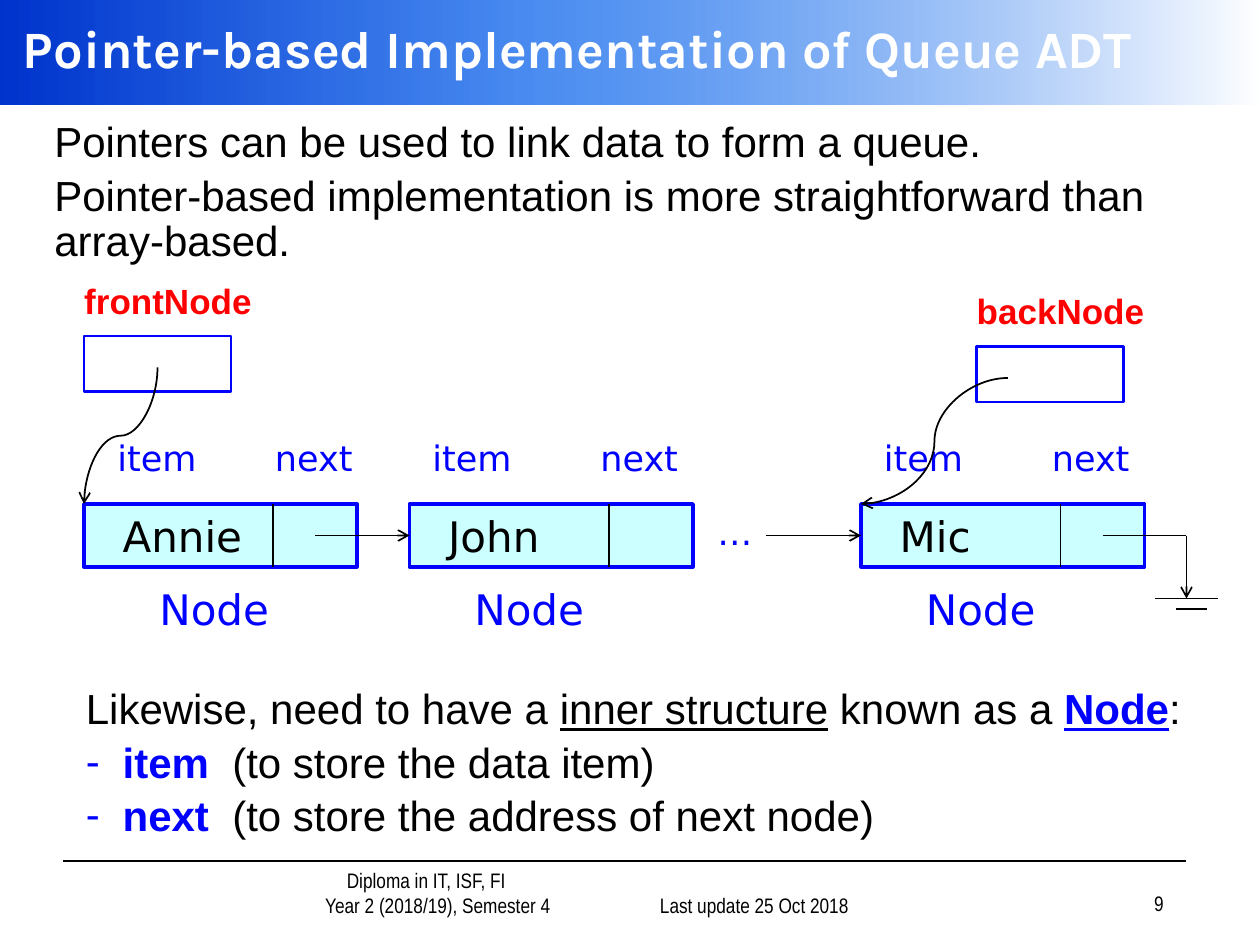
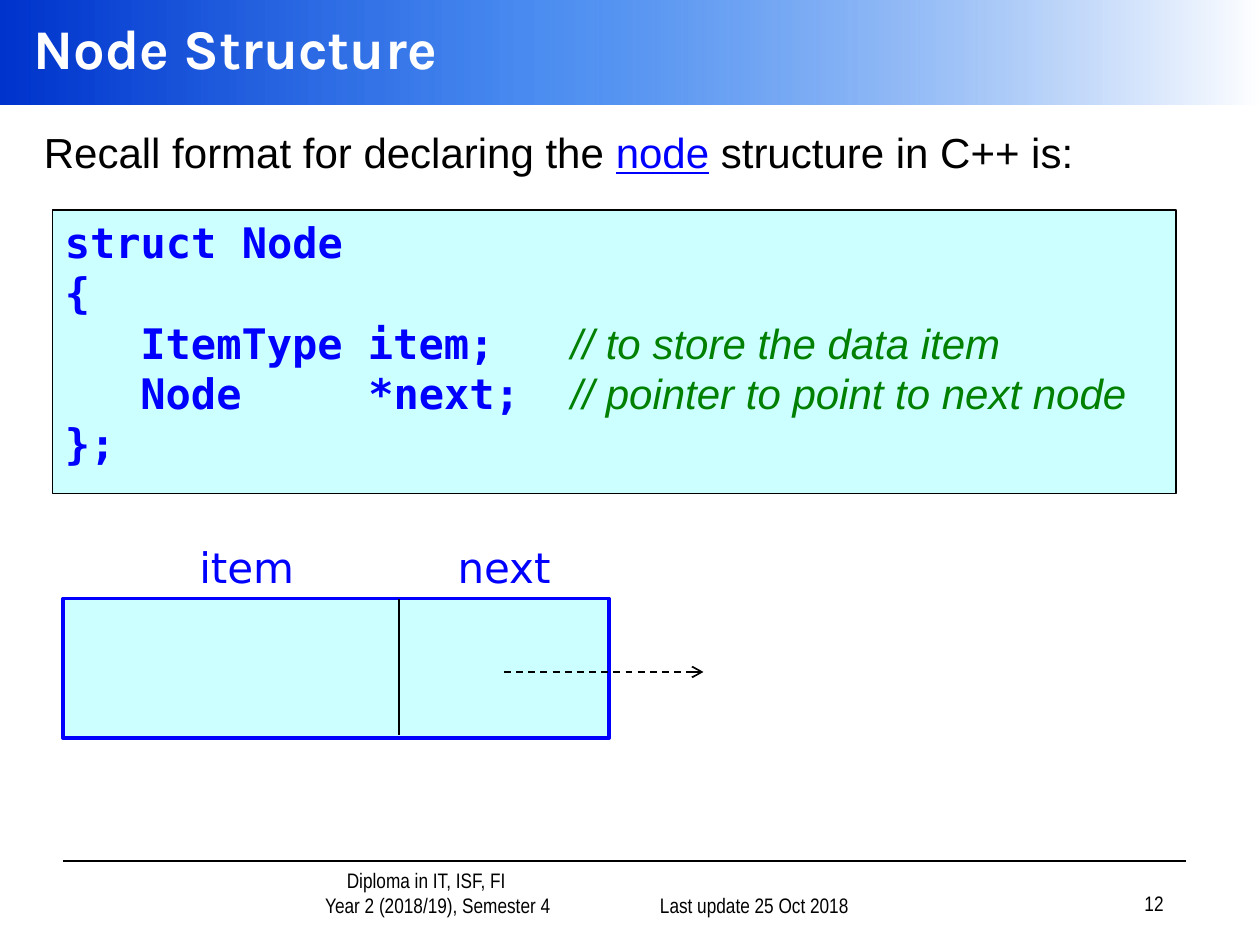
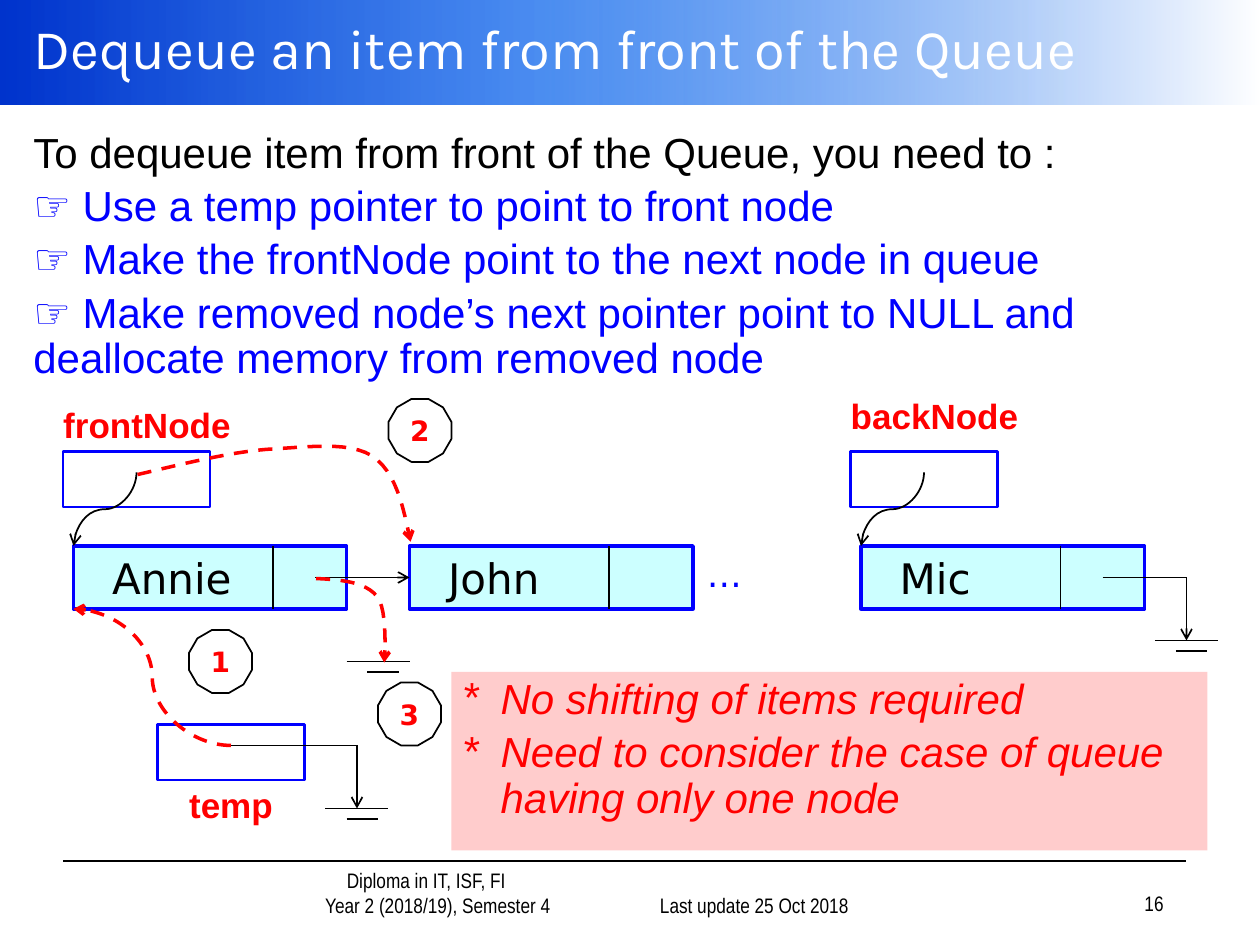
from lxml import etree
from pptx import Presentation
from pptx.dml.color import RGBColor
from pptx.enum.dml import MSO_LINE
from pptx.enum.shapes import MSO_CONNECTOR, MSO_SHAPE
from pptx.enum.text import MSO_ANCHOR, PP_ALIGN
from pptx.oxml.ns import qn
from pptx.util import Pt

PX = 7620
COLORS = {
    "black": "000000", "white": "FFFFFF", "blue": "0000FF", "red": "FF0000",
    "green": "008000", "cyan": "CCFFFF", "pink": "FFCCCC",
    "band_start": "0033CC", "band_middle": "005EEB",
}
BAND_STOPS = [(0, "band_start", 100), (43, "band_middle", 70), (100, "white", 100)]
BODY_FONT, TITLE_FONT, FOOTER_FONT = "Arial", "Karla", "Arial Narrow"
LABEL_FONT, CODE_FONT = "DejaVu Sans", "DejaVu Sans Mono"
LEFT, CENTER, RIGHT = PP_ALIGN.LEFT, PP_ALIGN.CENTER, PP_ALIGN.RIGHT
TOP, MIDDLE, BOTTOM = MSO_ANCHOR.TOP, MSO_ANCHOR.MIDDLE, MSO_ANCHOR.BOTTOM
STRAIGHT, CURVE = MSO_CONNECTOR.STRAIGHT, MSO_CONNECTOR.CURVE
RECTANGLE, DODECAGON = MSO_SHAPE.RECTANGLE, MSO_SHAPE.DODECAGON
DASH = MSO_LINE.DASH

BODY = {"size": 24, "font": BODY_FONT, "color": "black"}
CODE = {"size": 24, "font": CODE_FONT, "color": "blue", "bold": True}
COMMENT = {"font": BODY_FONT, "color": "green", "bold": False, "italic": True}
FOOTER = {"size": 12, "font": FOOTER_FONT, "color": "black"}
FIELD_LABEL = {"size": 20, "font": LABEL_FONT, "color": "blue"}
NODE_LABEL = {"size": 24, "font": LABEL_FONT, "color": "blue"}
NODE_NAME = {"size": 24, "font": LABEL_FONT, "color": "black"}
POINTER_LABEL = {"size": 20, "font": BODY_FONT, "color": "red", "bold": True}
STEP_LABEL = {"size": 16, "font": LABEL_FONT, "color": "red", "bold": True}
WARNING = {"size": 24, "font": BODY_FONT, "color": "red", "italic": True}
KEYWORD = {"color": "blue", "bold": True}


def color(name):
    return RGBColor.from_string(COLORS[name])


def emu(*lengths):
    return [round(length * PX) for length in lengths]


def format_run(run, size, font, color_name, bold, italic, underline):
    run.font.size = Pt(size)
    run.font.name = font
    run.font.color.rgb = color(color_name)
    run.font.bold = bold
    run.font.italic = italic
    run.font.underline = underline


def write(shape, paragraphs, style, align=LEFT, anchor=TOP, body_spacing=False):
    text_frame = shape.text_frame
    text_frame.word_wrap = True
    text_frame.vertical_anchor = anchor
    for index, runs in enumerate(paragraphs):
        paragraph = text_frame.paragraphs[0] if index == 0 else text_frame.add_paragraph()
        paragraph.alignment = align
        if body_spacing:
            paragraph.line_spacing = 0.9
            paragraph.space_before = Pt(4.5)
        for part in [runs] if isinstance(runs, str) else runs:
            text, changes = (part, {}) if isinstance(part, str) else part
            look = {**style, **changes}
            run = paragraph.add_run()
            run.text = text
            format_run(run, look["size"], look["font"], look["color"],
                       look.get("bold", False), look.get("italic", False),
                       look.get("underline", False))
    return text_frame.paragraphs


def add_text(slide, box, paragraphs, style, **layout):
    text_box = slide.shapes.add_textbox(*emu(*box))
    return write(text_box, paragraphs, style, **layout)


def indent(paragraph, margin, first_line=0):
    properties = paragraph._p.get_or_add_pPr()
    properties.set("marL", str(margin * PX))
    properties.set("indent", str(first_line * PX))
    return properties


def set_bullet(paragraph, character, color_name):
    properties = indent(paragraph, 35, -35)
    bullet_color = etree.SubElement(properties, qn("a:buClr"))
    etree.SubElement(bullet_color, qn("a:srgbClr"), val=COLORS[color_name])
    etree.SubElement(properties, qn("a:buFont"), typeface=BODY_FONT)
    etree.SubElement(properties, qn("a:buChar"), char=character)


def set_tabs(paragraph, stops):
    tab_list = etree.SubElement(paragraph._p.get_or_add_pPr(), qn("a:tabLst"))
    for stop in stops:
        etree.SubElement(tab_list, qn("a:tab"), pos=str(stop * PX), algn="l")


def add_shape(slide, box, fill=None, line=None, width=1, preset=RECTANGLE):
    shape = slide.shapes.add_shape(preset, *emu(*box))
    shape.shadow.inherit = False
    if fill:
        shape.fill.solid()
        shape.fill.fore_color.rgb = color(fill)
    else:
        shape.fill.background()
    if line:
        shape.line.color.rgb = color(line)
        shape.line.width = Pt(width)
    else:
        shape.line.fill.background()
    return shape


def style_line(shape, color_name="black", width=1, dash=None, arrow=False):
    shape.line.color.rgb = color(color_name)
    shape.line.width = Pt(width)
    if dash:
        shape.line.dash_style = dash
    if arrow:
        etree.SubElement(shape.line._get_or_add_ln(), qn("a:tailEnd"), type="arrow")


def add_line(slide, start, end, kind=STRAIGHT, **look):
    connector = slide.shapes.add_connector(kind, *emu(*start, *end))
    etree.SubElement(connector._element.spPr, qn("a:effectLst"))
    style_line(connector, **look)
    return connector


def add_falling_curve(slide, start, end):
    middle_x, middle_y = (start[0] + end[0]) / 2, (start[1] + end[1]) / 2
    half_width, half_height = (end[1] - start[1]) / 2, (start[0] - end[0]) / 2
    connector = add_line(slide, (middle_x - half_width, middle_y - half_height),
                         (middle_x + half_width, middle_y + half_height), CURVE, arrow=True)
    connector._element.spPr.find(qn("a:xfrm")).set("rot", "5400000")


def bezier_point(points, t):
    weights = ((1 - t) ** 3, 3 * t * (1 - t) ** 2, 3 * t ** 2 * (1 - t), t ** 3)
    return tuple(emu(*(sum(w * p[axis] for w, p in zip(weights, points)) for axis in (0, 1))))


def add_dashed_path(slide, points, steps=12):
    builder = slide.shapes.build_freeform(*emu(*points[0]), scale=1.0)
    builder.add_line_segments(
        [bezier_point(points[i:i + 4], step / steps)
         for i in range(0, len(points) - 1, 3) for step in range(1, steps + 1)], close=False)
    shape = builder.convert_to_shape()
    shape.shadow.inherit = False
    shape.fill.background()
    style_line(shape, "red", 2, DASH, True)


def draw_band(slide):
    band = add_shape(slide, (0, 0, 1200, 100))
    band.fill.gradient()
    band.fill.gradient_angle = 0
    stops = band._element.spPr.find(qn("a:gradFill")).find(qn("a:gsLst"))
    for stop in list(stops):
        stops.remove(stop)
    for position, name, opacity in BAND_STOPS:
        stop = etree.SubElement(stops, qn("a:gs"), pos=str(position * 1000))
        stop_color = etree.SubElement(stop, qn("a:srgbClr"), val=COLORS[name])
        if opacity < 100:
            etree.SubElement(stop_color, qn("a:alpha"), val=str(opacity * 1000))


def draw_footer(slide, number):
    add_line(slide, (60, 820), (1130, 820))
    course = add_text(slide, (202, 830, 348, 50),
                      ["Diploma in IT, ISF, FI", "Year 2 (2018/19), Semester 4"],
                      FOOTER, align=CENTER, anchor=BOTTOM)
    for paragraph, margin in zip(course, (60, 82)):
        indent(paragraph, margin)
    add_text(slide, (570, 830, 250, 50), ["Last update 25 Oct 2018"], FOOTER,
             align=RIGHT, anchor=BOTTOM)
    add_text(slide, (870, 828, 250, 50), [str(number)], FOOTER, align=RIGHT, anchor=BOTTOM)


def start_slide(presentation, title, number, title_left=20, size=32, bold=True):
    slide = presentation.slides.add_slide(presentation.slide_layouts[6])
    draw_band(slide)
    draw_footer(slide, number)
    title_style = {"size": size, "font": TITLE_FONT, "color": "white", "bold": bold}
    add_text(slide, (title_left, 0, 1200 - title_left, 90), [title], title_style, anchor=MIDDLE)
    return slide


def draw_node(slide, left, top, name, width=270, divider=190):
    node = add_shape(slide, (left, top, width, 60), "cyan", "blue", 2)
    indent(write(node, [name], NODE_NAME, anchor=MIDDLE)[0], 25)
    add_line(slide, (left + divider, top), (left + divider, top + 60))


def draw_pointer(slide, left, top, name, label_x=-20, label_y=-60):
    add_shape(slide, (left, top, 140, 53), line="blue", width=1.5)
    add_text(slide, (left + label_x, top + label_y, 200, 53), [name], POINTER_LABEL, align=CENTER)


def draw_ground(slide, center, top):
    add_line(slide, (center - 30, top), (center + 30, top))
    add_line(slide, (center - 10, top + 10), (center + 20, top + 10))


def draw_null_link(slide, start, corner, top):
    add_line(slide, (start, top), (corner, top))
    add_line(slide, (corner, top), (corner, top + 60), arrow=True)
    draw_ground(slide, corner, top + 60)


def draw_ellipsis(slide, left, top):
    add_text(slide, (left, top, 160, 53), ["…"], FIELD_LABEL, align=CENTER)


def draw_step(slide, left, top, number):
    step = add_shape(slide, (left, top, 60, 60), line="black", preset=DODECAGON)
    write(step, [str(number)], STEP_LABEL, align=CENTER, anchor=MIDDLE)


def draw_queue(slide, top, first_left, first_width, first_divider, ellipsis_left):
    draw_node(slide, first_left, top, "Annie", first_width, first_divider)
    draw_node(slide, 390, top, "John")
    draw_node(slide, 820, top, "Mic")
    draw_ellipsis(slide, ellipsis_left, top)
    add_line(slide, (300, top + 30), (390, top + 30), arrow=True)
    draw_null_link(slide, 1050, 1130, top + 30)


def build_pointer_slide(presentation):
    slide = start_slide(presentation, "Pointer-based Implementation of Queue ADT", 9, 10, 30)
    add_text(slide, (40, 110, 1090, 230), [
        "Pointers can be used to link data to form a queue.",
        "Pointer-based implementation is more straightforward than array-based.",
    ], BODY, body_spacing=True)
    structure = add_text(slide, (70, 650, 1090, 230), [
        ["Likewise, need to have a ", ("inner structure", {"underline": True}),
         " known as a ", ("Node", {**KEYWORD, "underline": True}), ":"],
        [("item", KEYWORD), "  (to store the data item)"],
        [("next", KEYWORD), "  (to store the address of next node)"],
    ], BODY, body_spacing=True)
    for paragraph in structure[1:]:
        set_bullet(paragraph, "-", "blue")
    draw_queue(slide, 480, 80, 260, 180, 620)
    add_line(slide, (730, 510), (820, 510), arrow=True)
    for item_left, next_left, node_left in ((100, 250, 140), (400, 560, 440), (830, 990, 870)):
        add_text(slide, (item_left, 410, 160, 53), ["item"], FIELD_LABEL)
        add_text(slide, (next_left, 410, 160, 53), ["next"], FIELD_LABEL)
        add_text(slide, (node_left, 550, 180, 60), ["Node"], NODE_LABEL)
    draw_pointer(slide, 80, 320, "frontNode")
    add_falling_curve(slide, (150, 350), (80, 480))
    draw_pointer(slide, 930, 330, "backNode")
    add_line(slide, (960, 360), (820, 480), CURVE, arrow=True)


def draw_code(slide, box):
    code = add_shape(slide, box, "cyan", "black", 0.75)
    paragraphs = write(code, [
        "struct Node",
        "{",
        ["\tItemType item;\t", ("// to store the data item", COMMENT)],
        ["\tNode\t*next;\t", ("// pointer to point to next node", COMMENT)],
        "};",
    ], CODE)
    for paragraph in paragraphs[2:4]:
        set_tabs(paragraph, (72, 289, 482))


def draw_empty_node(slide, left, top):
    add_shape(slide, (left, top, 520, 133), "cyan", "blue", 2)
    add_line(slide, (left + 320, top), (left + 320, top + 130))
    add_text(slide, (left + 80, top - 60, 190, 61), ["item"], NODE_LABEL, align=CENTER)
    add_text(slide, (left + 340, top - 60, 160, 61), ["next"], NODE_LABEL, align=CENTER)
    add_line(slide, (left + 420, top + 70), (left + 610, top + 70), dash=DASH, arrow=True)


def build_structure_slide(presentation):
    slide = start_slide(presentation, "Node Structure", 12)
    add_text(slide, (30, 120, 1150, 80), [
        ["Recall format for declaring the ", ("node", {"color": "blue", "underline": True}),
         " structure in C++ is:"],
    ], BODY, body_spacing=True)
    draw_empty_node(slide, 60, 570)
    draw_code(slide, (50, 200, 1070, 270))


def build_dequeue_slide(presentation):
    slide = start_slide(presentation, "Dequeue an item from front of the Queue", 16, bold=False)
    steps = ["Use a temp pointer to point to front node",
             "Make the frontNode point to the next node in queue",
             "Make removed node’s next pointer point to NULL and "
             "deallocate memory from removed node"]
    add_text(slide, (20, 120, 1130, 510),
             ["To dequeue item from front of the Queue, you need to :"]
             + [[("☞", KEYWORD), (" " + step, {"color": "blue"})] for step in steps],
             BODY, body_spacing=True)
    draw_queue(slide, 520, 70, 260, 190, 610)
    draw_pointer(slide, 60, 430, "frontNode", label_y=-52)
    add_falling_curve(slide, (130, 450), (70, 520))
    draw_pointer(slide, 810, 430, "backNode")
    add_falling_curve(slide, (880, 450), (820, 520))
    draw_pointer(slide, 150, 690, "temp", -30, 50)
    draw_null_link(slide, 220, 340, 710)
    add_line(slide, (220, 710), (70, 580), CURVE,
             color_name="red", width=2, dash=DASH, arrow=True)
    add_dashed_path(slide, [(131, 452), (174, 442), (217, 431), (254, 428), (292, 426),
                            (331, 420), (354, 434), (377, 449), (384, 482), (391, 516)])
    note = add_shape(slide, (430, 640, 720, 170), "pink")
    paragraphs = write(note, [
        "No shifting of items required",
        "Need to consider the case of queue having only one node",
    ], WARNING, body_spacing=True)
    for paragraph in paragraphs:
        set_bullet(paragraph, "*", "red")
    draw_ground(slide, 360, 630)
    add_dashed_path(slide, [(301, 551), (324, 552), (348, 554), (359, 568),
                            (370, 581), (366, 631), (366, 631)])
    for number, (left, top) in enumerate(((180, 600), (370, 380), (360, 650)), 1):
        draw_step(slide, left, top, number)


def main():
    presentation = Presentation()
    presentation.slide_width, presentation.slide_height = emu(1200, 900)
    build_pointer_slide(presentation)
    build_structure_slide(presentation)
    build_dequeue_slide(presentation)
    presentation.save("out.pptx")


if __name__ == "__main__":
    main()
